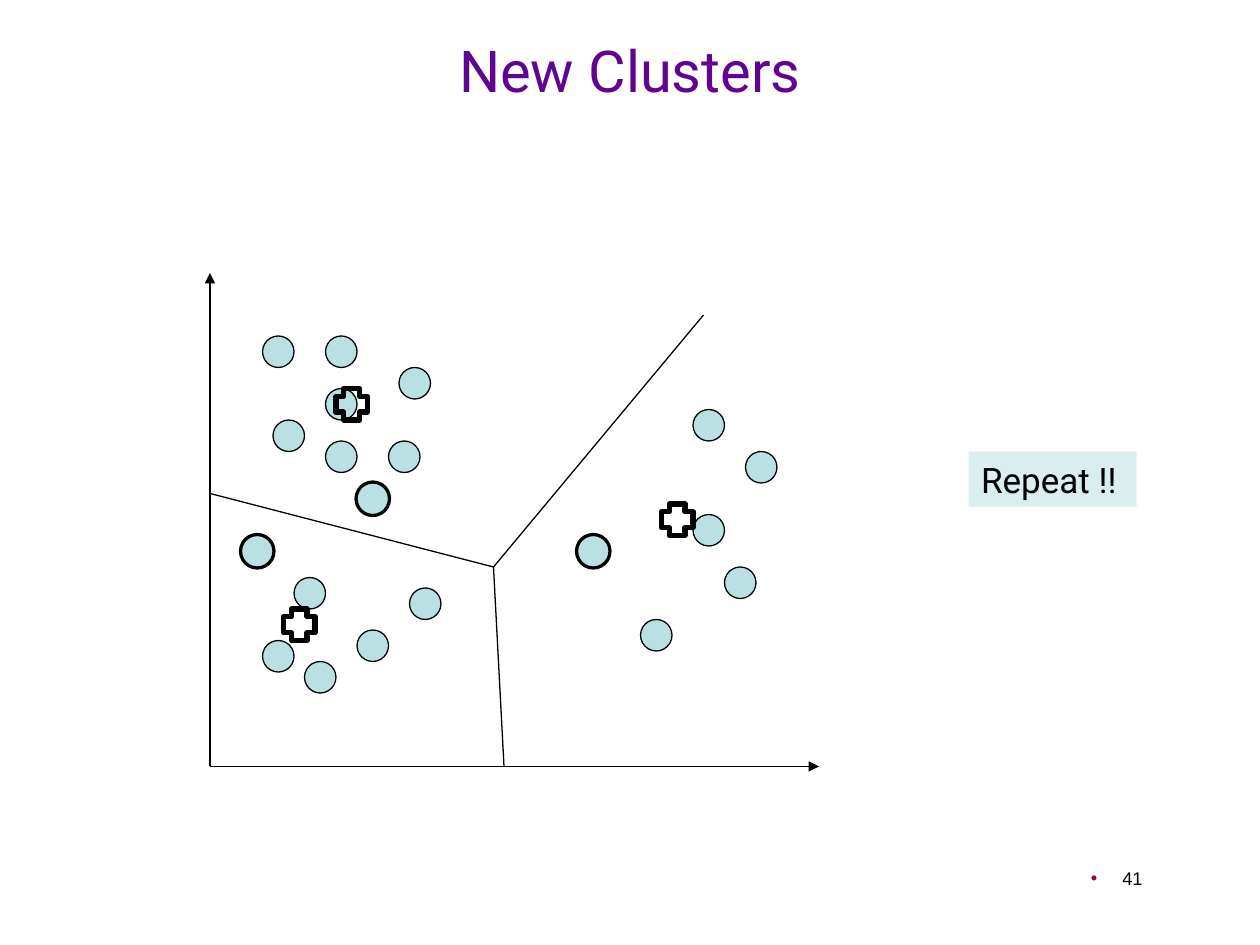
from dataclasses import dataclass

from lxml import etree
from pptx import Presentation
from pptx import util as u
from pptx.dml.color import RGBColor
from pptx.enum import shapes, text
from pptx.oxml.ns import qn


@dataclass(frozen=True)
class Theme:
    """Colours, fonts, type sizes and line widths of the slide."""
    ink: str = "000000"
    title: str = "600592"
    dot: str = "BBE0E3"
    note: str = "DAEDEF"
    bullet: str = "990033"
    heading_font: str = "Roboto"
    number_font: str = "Arial"
    title_size: float = 33
    note_size: float = 20
    number_size: float = 10.5
    thin: float = 0.75
    thick: float = 3
    marker: float = 18


class ClusterSlide:
    """Draws the elements of a cluster diagram on one slide."""

    def __init__(self, presentation, theme):
        self.theme = theme
        self.slide = presentation.slides.add_slide(presentation.slide_layouts[5])

    def set_text(self, frame, wording, font, size, color, align):
        frame.word_wrap = True
        paragraph = frame.paragraphs[0]
        paragraph.text = wording
        paragraph.alignment = align
        paragraph.font.name = font
        paragraph.font.size = u.Pt(size)
        paragraph.font.color.rgb = RGBColor.from_string(color)

    def title(self, wording, left, top, width, height):
        shape = self.slide.shapes.title
        shape.left, shape.top = u.Pt(left), u.Pt(top)
        shape.width, shape.height = u.Pt(width), u.Pt(height)
        shape.text_frame.vertical_anchor = text.MSO_ANCHOR.MIDDLE
        self.set_text(shape.text_frame, wording, self.theme.heading_font,
                      self.theme.title_size, self.theme.title, text.PP_ALIGN.CENTER)

    def shape(self, kind, left, top, width, height, fill=None, line_width=None):
        shape = self.slide.shapes.add_shape(
            kind, u.Pt(left), u.Pt(top), u.Pt(width), u.Pt(height))
        shape.shadow.inherit = False
        if fill:
            shape.fill.solid()
            shape.fill.fore_color.rgb = RGBColor.from_string(fill)
        else:
            shape.fill.background()
        if line_width:
            shape.line.color.rgb = RGBColor.from_string(self.theme.ink)
            shape.line.width = u.Pt(line_width)
        else:
            shape.line.fill.background()
        return shape

    def dot(self, left, top, line_width):
        self.shape(shapes.MSO_SHAPE.OVAL, left, top, self.theme.marker,
                   self.theme.marker, self.theme.dot, line_width)

    def centroid(self, left, top):
        self.shape(shapes.MSO_SHAPE.CROSS, left, top, self.theme.marker,
                   self.theme.marker, line_width=self.theme.thick)

    def line(self, start, end, arrow=False):
        connector = self.slide.shapes.add_connector(
            shapes.MSO_CONNECTOR.STRAIGHT, *map(u.Pt, start + end))
        connector.line.color.rgb = RGBColor.from_string(self.theme.ink)
        connector.line.width = u.Pt(self.theme.thin)
        properties = connector._element.spPr
        if arrow:
            etree.SubElement(properties.find(qn("a:ln")), qn("a:tailEnd"), type="triangle")
        etree.SubElement(properties, qn("a:effectLst"))

    def note(self, wording, left, top, width, height):
        shape = self.shape(shapes.MSO_SHAPE.RECTANGLE, left, top, width, height, self.theme.note)
        shape.text_frame.vertical_anchor = text.MSO_ANCHOR.MIDDLE
        self.set_text(shape.text_frame, wording, self.theme.heading_font,
                      self.theme.note_size, self.theme.ink, text.PP_ALIGN.LEFT)

    def number(self, wording, left, top, width, height):
        box = self.slide.shapes.add_textbox(u.Pt(left), u.Pt(top), u.Pt(width), u.Pt(height))
        properties = box.text_frame.paragraphs[0]._p.get_or_add_pPr()
        properties.set("marL", str(u.Pt(18)))
        properties.set("indent", str(u.Pt(-18)))
        color = etree.SubElement(properties, qn("a:buClr"))
        etree.SubElement(color, qn("a:srgbClr"), val=self.theme.bullet)
        etree.SubElement(properties, qn("a:buFont"), typeface=self.theme.number_font)
        etree.SubElement(properties, qn("a:buChar"), char="•")
        self.set_text(box.text_frame, wording, self.theme.number_font,
                      self.theme.number_size, self.theme.ink, text.PP_ALIGN.RIGHT)


def main():
    presentation = Presentation()
    presentation.slide_width, presentation.slide_height = u.Pt(720), u.Pt(540)
    theme = Theme()
    page = ClusterSlide(presentation, theme)

    page.number("41", 492, 492, 168, 37.5)
    page.title("New Clusters", 36, 11, 648, 57.5)

    origin = (120, 438)
    for axis_end in ((120, 156), (468, 438)):
        page.line(origin, axis_end, arrow=True)

    clusters = (
        ((150, 366), (204, 360), (168, 330), (174, 378), (234, 336)),
        ((366, 354), (414, 324), (396, 294), (426, 258), (396, 234)),
        ((186, 222), (150, 192), (156, 240), (228, 210), (186, 252), (222, 252), (186, 192)),
    )
    for cluster in clusters:
        for left, top in cluster:
            page.dot(left, top, theme.thin)

    former_centers = ((138, 306), (204, 276), (330, 306))
    for left, top in former_centers:
        page.dot(left, top, theme.thick)
    for left, top in ((162, 348), (378, 288), (192, 222)):
        page.centroid(left, top)
    for left, top in former_centers:
        page.dot(left, top, theme.thin)

    junction = (282, 324)
    for boundary_end in ((120, 282), (288, 438), (402, 180)):
        page.line(junction, boundary_end)

    page.note("Repeat !!", 553.5, 258, 96, 31.5)
    presentation.save("out.pptx")


if __name__ == "__main__":
    main()
